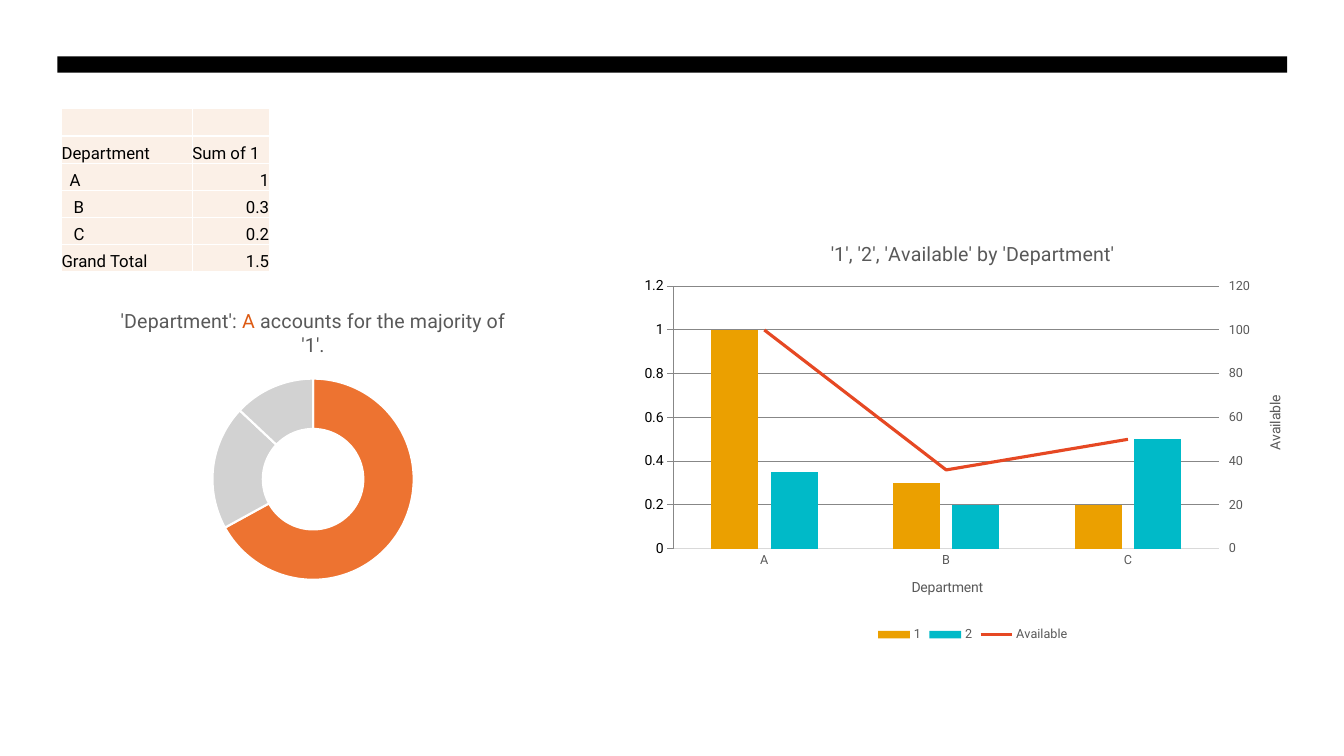
from collections.abc import Iterable
from copy import deepcopy
from dataclasses import dataclass
from typing import Any

from lxml.etree import SubElement
from pptx import Presentation
from pptx.chart.axis import CategoryAxis, ValueAxis
from pptx.chart.chart import Chart
from pptx.chart.data import CategoryChartData
from pptx.dml.color import RGBColor
from pptx.enum.chart import XL_CHART_TYPE as ChartType
from pptx.enum.chart import XL_LEGEND_POSITION as LegendPosition
from pptx.enum.chart import XL_MARKER_STYLE as MarkerStyle
from pptx.enum.chart import XL_TICK_MARK as TickMark
from pptx.enum.shapes import MSO_SHAPE as Preset
from pptx.enum.text import MSO_ANCHOR as Anchor
from pptx.enum.text import PP_ALIGN as Align
from pptx.oxml.ns import qn
from pptx.slide import Slide
from pptx.util import Inches, Pt

WIDTH, HEIGHT = Inches(13.33), Inches(7.5)
FONT = "Roboto"
BLACK = RGBColor(0x00, 0x00, 0x00)
WHITE = RGBColor(0xFF, 0xFF, 0xFF)
GREY = RGBColor(0x59, 0x59, 0x59)
GRID = RGBColor(0xD9, 0xD9, 0xD9)
CREAM = RGBColor(0xFB, 0xF0, 0xE7)
AMBER = RGBColor(0xEB, 0xA0, 0x00)
TEAL = RGBColor(0x00, 0xBA, 0xC8)
RED = RGBColor(0xE6, 0x48, 0x23)
ORANGE = RGBColor(0xED, 0x73, 0x31)
RUST = RGBColor(0xDD, 0x5A, 0x13)
SILVER = RGBColor(0xD2, 0xD2, 0xD2)


@dataclass(frozen=True)
class Area:
    """A rectangle in percent of the slide's size."""

    left: float
    top: float
    width: float
    height: float

    def emu(self) -> tuple[int, int, int, int]:
        """Return the rectangle in slide units."""
        return (int(WIDTH * self.left / 100), int(HEIGHT * self.top / 100),
                int(WIDTH * self.width / 100), int(HEIGHT * self.height / 100))


@dataclass(frozen=True)
class Measure:
    """One data series of the department chart."""

    name: str
    values: tuple[float, ...]
    color: RGBColor


@dataclass(frozen=True)
class Row:
    """One table row, with the indent of its label in inches."""

    label: str = ""
    total: str = ""
    indent: float = 0
    align: Align = Align.RIGHT


BANNER = Area(4.28, 7.47, 91.5, 2.13)
SUMMARY = Area(4.58, 14.4, 15.45, 21.6)
SHARES = Area(4.58, 38.8, 37.43, 40)
DEPARTMENTS = Area(47.63, 29.47, 49.5, 56)
LABEL_SHARE = 0.63
ROWS = (
    Row(),
    Row("Department", "Sum of 1", align=Align.LEFT),
    Row("A", "1", 0.08),
    Row("B", "0.3", 0.12),
    Row("C", "0.2", 0.12),
    Row("Grand Total", "1.5"),
)
MEASURES = (
    Measure("1", (1, 0.3, 0.2), AMBER),
    Measure("2", (0.35, 0.2, 0.5), TEAL),
    Measure("Available", (100, 36, 50), RED),
)


def apply(target: Any, formats: dict[str, Any]) -> None:
    """Set each named attribute on the target."""
    for name, value in formats.items():
        setattr(target, name, value)


def style_font(font: Any, size: float, color: RGBColor) -> None:
    """Give a font the slide's typeface, a size and a colour."""
    apply(font, {"name": FONT, "size": Pt(size), "bold": False})
    font.color.rgb = color


def write_title(owner: Any, size: float, pieces: Iterable[tuple[str, RGBColor]]) -> None:
    """Write a chart or axis title from coloured pieces."""
    paragraph = owner.text_frame.paragraphs[0]
    for text, color in pieces:
        run = paragraph.add_run()
        run.text = text
        style_font(run.font, size, color)


def place_plot(chart: Chart, shares: dict[str, float]) -> None:
    """Fix the inner plot area in shares of the chart's size."""
    plot_area = chart.plots[0]._element.getparent()
    layout = plot_area.find(qn("c:layout"))
    if layout is None:
        layout = SubElement(plot_area, qn("c:layout"))
        plot_area.insert(0, layout)
    manual = SubElement(layout, qn("c:manualLayout"))
    settings = {"layoutTarget": "inner", "xMode": "edge", "yMode": "edge", **shares}
    for name, value in settings.items():
        SubElement(manual, qn(f"c:{name}")).set("val", str(value))


def style_axis(axis: Any, tick: TickMark, formats: dict[str, Any]) -> None:
    """Style an axis and its labels."""
    apply(axis, {"major_tick_mark": tick, "minor_tick_mark": TickMark.NONE, **formats})
    style_font(axis.tick_labels.font, 9, GREY)
    axis.format.line.fill.background()


def add_right_axis(chart: Chart) -> ValueAxis:
    """Move the last series to a line plot on a right-hand axis."""
    bars = chart.plots[0]._element
    plot_area = bars.getparent()
    series = bars.findall(qn("c:ser"))[-1]
    for flag in series.findall(qn("c:invertIfNegative")):
        series.remove(flag)
    line_plot = SubElement(plot_area, qn("c:lineChart"))
    bars.addnext(line_plot)
    SubElement(line_plot, qn("c:grouping")).set("val", "standard")
    SubElement(line_plot, qn("c:varyColors")).set("val", "0")
    line_plot.append(series)
    SubElement(line_plot, qn("c:marker")).set("val", "1")

    left_axes = [plot_area.find(qn(tag)) for tag in ("c:catAx", "c:valAx")]
    right_axes = [deepcopy(axis) for axis in left_axes]
    ids = {axis.find(qn("c:axId")).get("val"): str(number)
           for number, axis in enumerate(left_axes, 5001)}
    last = left_axes[-1]
    for axis, new_id in zip(right_axes, ids.values()):
        for tag in ("c:axId", "c:crossAx"):
            reference = axis.find(qn(tag))
            reference.set("val", ids[reference.get("val")])
        SubElement(line_plot, qn("c:axId")).set("val", new_id)
        last.addnext(axis)
        last = axis
    hidden, right = right_axes
    CategoryAxis(hidden).visible = False
    right.find(qn("c:axPos")).set("val", "r")
    for crossing in right.findall(qn("c:crosses")):
        right.remove(crossing)
    crossing = SubElement(right, qn("c:crosses"))
    crossing.set("val", "max")
    right.find(qn("c:crossAx")).addnext(crossing)
    return ValueAxis(right)


def add_department_chart(slide: Slide) -> None:
    """Draw the columns and the availability line by department."""
    data = CategoryChartData()
    data.categories = ("A", "B", "C")
    for measure in MEASURES:
        data.add_series(measure.name, measure.values)
    chart = slide.shapes.add_chart(ChartType.COLUMN_CLUSTERED, *DEPARTMENTS.emu(), data).chart
    style_font(chart.font, 10, BLACK)
    write_title(chart.chart_title, 14, [("'1', '2', 'Available' by 'Department'", GREY)])
    right = add_right_axis(chart)
    columns, line = chart.plots
    apply(columns, {"gap_width": 160, "overlap": -27, "vary_by_categories": False})
    for series, measure in zip(columns.series, MEASURES):
        paint(series.format.fill, measure.color)
    available = line.series[0]
    available.smooth = False
    available.marker.style = MarkerStyle.NONE
    draw_line(available.format.line, MEASURES[-1].color, 2.25)

    category, left = chart.category_axis, chart.value_axis
    scale = {"minimum_scale": 0, "maximum_scale": 1.2, "major_unit": 0.2}
    style_axis(category, TickMark.NONE, {})
    style_axis(left, TickMark.NONE, {"has_major_gridlines": True, **scale})
    style_axis(right, TickMark.OUTSIDE, {"has_major_gridlines": False,
               **{name: round(value * 100) for name, value in scale.items()}})
    for rule in (category.format.line, left.major_gridlines.format.line):
        draw_line(rule, GRID, 0.75)
    write_title(category.axis_title, 10, [("Department", GREY)])
    write_title(right.axis_title, 10, [("Available", GREY)])
    body = right.axis_title.text_frame._txBody.bodyPr
    body.set("rot", "-5400000")
    body.set("vert", "horz")
    chart.has_legend = True
    apply(chart.legend, {"position": LegendPosition.BOTTOM, "include_in_layout": False})
    style_font(chart.legend.font, 9, GREY)
    place_plot(chart, {"x": 0.05, "y": 0.15, "w": 0.82, "h": 0.62})


def paint(fill: Any, color: RGBColor) -> None:
    """Make a fill solid in one colour."""
    fill.solid()
    fill.fore_color.rgb = color


def draw_line(line: Any, color: RGBColor, points: float) -> None:
    """Give a line a colour and a width."""
    line.color.rgb = color
    line.width = Pt(points)


def add_share_chart(slide: Slide) -> None:
    """Draw the ring of department shares."""
    data = CategoryChartData()
    data.categories = ("1", "2", "3")
    data.add_series("Series 1", (67, 20, 13))
    chart = slide.shapes.add_chart(ChartType.DOUGHNUT, *SHARES.emu(), data).chart
    chart.has_legend = False
    style_font(chart.font, 10, BLACK)
    write_title(chart.chart_title, 14, [("'Department': ", GREY), ("A", RUST),
                                        (" accounts for the majority of '1'.", GREY)])
    ring = chart.plots[0]
    ring.vary_by_categories = True
    for index, color in enumerate((ORANGE, SILVER, SILVER)):
        part = ring.series[0].points[index].format
        paint(part.fill, color)
        draw_line(part.line, WHITE, 1.5)
    place_plot(chart, {"x": 0.3, "y": 0.28, "w": 0.4, "h": 0.67})


def fill_cell(cell: Any, text: str, indent: float, align: Align) -> None:
    """Write and format one table cell with white borders."""
    apply(cell, {"margin_left": Inches(indent), "margin_right": 0, "margin_top": 0,
                 "margin_bottom": 0, "vertical_anchor": Anchor.BOTTOM})
    paragraph = cell.text_frame.paragraphs[0]
    paragraph.alignment = align
    if text:
        run = paragraph.add_run()
        run.text = text
        style_font(run.font, 12, BLACK)
    else:
        SubElement(paragraph._p, qn("a:endParaRPr")).set("sz", "1200")
    properties = cell._tc.get_or_add_tcPr()
    for side in "LRTB":
        border = SubElement(properties, qn(f"a:ln{side}"), w=str(Pt(1)))
        solid = SubElement(border, qn("a:solidFill"))
        SubElement(solid, qn("a:srgbClr")).set("val", str(WHITE))
    paint(cell.fill, CREAM)


def add_summary(slide: Slide) -> None:
    """Draw the table of department sums."""
    left, top, width, height = SUMMARY.emu()
    table = slide.shapes.add_table(len(ROWS), 2, left, top, width, height).table
    apply(table, {"first_row": False, "horz_banding": False})
    for column, share in zip(table.columns, (LABEL_SHARE, 1 - LABEL_SHARE)):
        column.width = int(width * share)
    for index, row in enumerate(ROWS):
        fill_cell(table.cell(index, 0), row.label, row.indent, Align.LEFT)
        fill_cell(table.cell(index, 1), row.total, 0, row.align)


def add_banner(slide: Slide) -> None:
    """Draw the black bar at the top."""
    banner = slide.shapes.add_shape(Preset.RECTANGLE, *BANNER.emu())
    banner.shadow.inherit = False
    paint(banner.fill, BLACK)
    banner.line.fill.background()


def main() -> None:
    """Build and save the slide."""
    deck = Presentation()
    apply(deck, {"slide_width": WIDTH, "slide_height": HEIGHT})
    slide = deck.slides.add_slide(deck.slide_layouts[6])
    for draw in (add_banner, add_department_chart, add_summary, add_share_chart):
        draw(slide)
    deck.save("out.pptx")


if __name__ == "__main__":
    main()
